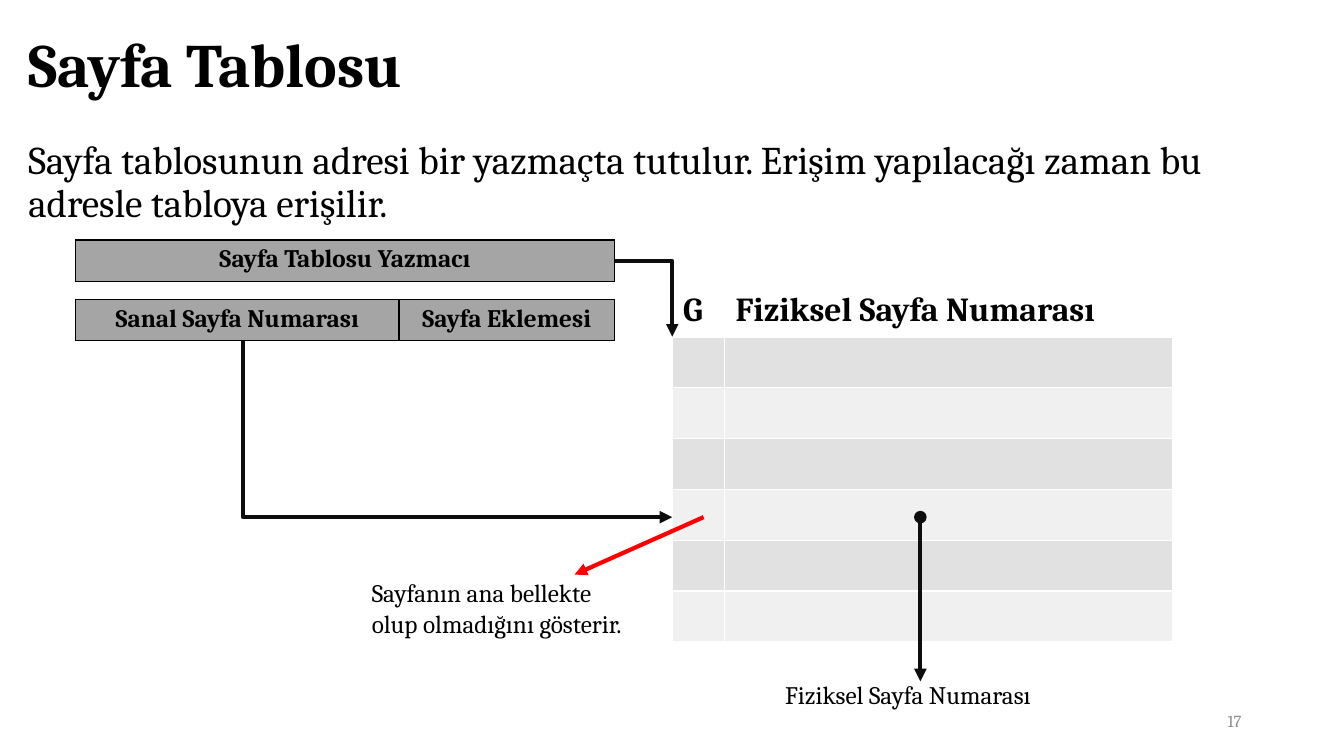
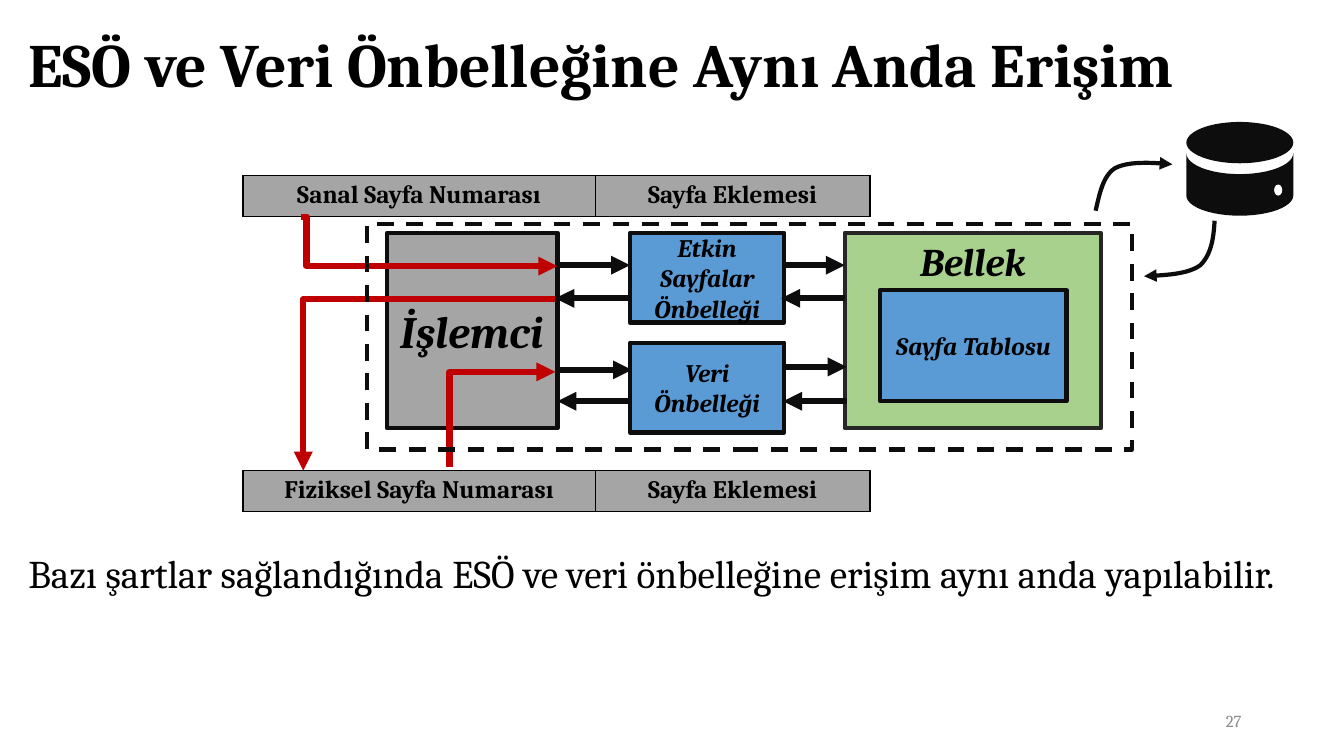
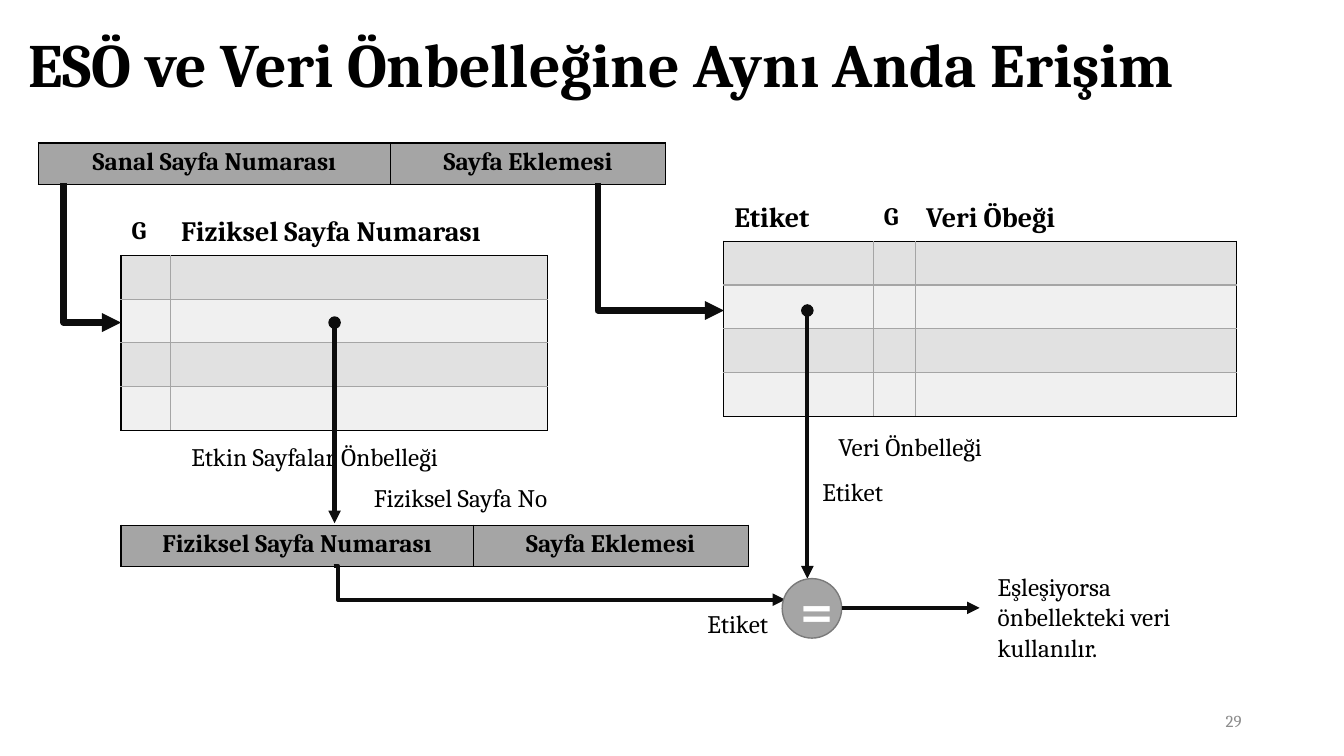
import math

import pptx
import pptx.dml.color
import pptx.enum.dml
import pptx.enum.shapes
import pptx.enum.text
import pptx.oxml
import pptx.oxml.ns
import pptx.util

Pt = pptx.util.Pt
SHAPES = pptx.enum.shapes.MSO_SHAPE
CONNECTORS = pptx.enum.shapes.MSO_CONNECTOR
ALIGN = pptx.enum.text.PP_ALIGN
ANCHOR = pptx.enum.text.MSO_ANCHOR

FONT = "Cambria"
BLACK, WHITE, INK, RED = "000000", "FFFFFF", "0D0D0D", "C00000"
GRAY, BLUE, GREEN = "A5A5A5", "5B9BD5", "A9D18E"
BANDS = ("E1E1E1", "F0F0F0")


def color(hex_string):
    """Turn a hex string into a colour."""
    return pptx.dml.color.RGBColor.from_string(hex_string)


def add_xml(parent, tag, **attributes):
    """Append a DrawingML element to a parent and return it."""
    element = pptx.oxml.parse_xml(f"<a:{tag} {pptx.oxml.ns.nsdecls('a')}/>")
    for name, value in attributes.items():
        element.set(name, str(value))
    parent.append(element)
    return element


def bezier(points, steps=12):
    """Sample a chain of cubic curves into points."""
    result = [points[0]]
    for first in range(0, len(points) - 1, 3):
        curve = points[first:first + 4]
        for step in range(1, steps + 1):
            t = step / steps
            weights = ((1 - t) ** 3, 3 * t * (1 - t) ** 2, 3 * t * t * (1 - t), t ** 3)
            result.append(tuple(sum(weight * point[axis] for weight, point in zip(weights, curve))
                                for axis in (0, 1)))
    return result


def half_ellipse(center_x, center_y, radius_x, radius_y, steps=24):
    """Return the lower half of an ellipse, from left to right."""
    angles = [math.pi * (1 - step / steps) for step in range(steps + 1)]
    return [(center_x + radius_x * math.cos(angle), center_y + radius_y * math.sin(angle))
            for angle in angles]


class Deck:
    """Holds the shared style and the current slide."""

    def __init__(self):
        """Start an empty wide presentation."""
        self.presentation = pptx.Presentation()
        self.presentation.slide_width = Pt(960)
        self.presentation.slide_height = Pt(540)
        self.slide = None

    def start_slide(self, title, number, body=None, body_top=97):
        """Add a slide with its title, page number and optional body text."""
        layout = self.presentation.slide_layouts[5 if body is None else 1]
        self.slide = self.presentation.slides.add_slide(layout)
        self.placeholder(0, 11, 75, title, 44, bold=True, anchor=ANCHOR.MIDDLE)
        if body:
            self.placeholder(1, body_top, 486 - body_top, body, 28, space_before=10)
        self.text(678, 500.4, 216, 28.8, number, 12, "8C8C8C", ALIGN.RIGHT, ANCHOR.MIDDLE)

    def placeholder(self, index, top, height, text, size, bold=False,
                    anchor=ANCHOR.TOP, space_before=0):
        """Move, fill and format a template placeholder."""
        shape = self.slide.placeholders[index]
        shape.left, shape.top, shape.width, shape.height = Pt(13), Pt(top), Pt(926), Pt(height)
        frame = shape.text_frame
        frame.auto_size = pptx.enum.text.MSO_AUTO_SIZE.NONE
        paragraph = self.fill_frame(frame, text, size, BLACK, ALIGN.LEFT, anchor, bold)
        paragraph.line_spacing = 0.9
        paragraph.space_before = Pt(space_before)
        properties = paragraph._p.get_or_add_pPr()
        properties.set("marL", "0")
        properties.set("indent", "0")
        add_xml(properties, "buNone")

    def fill_frame(self, frame, text, size, ink=BLACK, align=ALIGN.LEFT, anchor=ANCHOR.TOP,
                   bold=False, italic=False):
        """Put one run of text into a frame and return its paragraph."""
        frame.word_wrap = True
        frame.vertical_anchor = anchor
        paragraph = frame.paragraphs[0]
        paragraph.alignment = align
        run = paragraph.add_run()
        run.text = text
        font = run.font
        font.name, font.size, font.bold, font.italic = FONT, Pt(size), bold, italic
        font.color.rgb = color(ink)
        return paragraph

    def text(self, left, top, width, height, text, size=18, ink=BLACK,
             align=ALIGN.LEFT, anchor=ANCHOR.TOP):
        """Add a text box."""
        box = self.slide.shapes.add_textbox(Pt(left), Pt(top), Pt(width), Pt(height))
        self.fill_frame(box.text_frame, text, size, ink, align, anchor)

    def paint(self, shape, fill=None, line=None, weight=3):
        """Set the fill and line of a shape."""
        shape.shadow.inherit = False
        if fill:
            shape.fill.solid()
            shape.fill.fore_color.rgb = color(fill)
        else:
            shape.fill.background()
        if line:
            shape.line.color.rgb = color(line)
            shape.line.width = Pt(weight)
        else:
            shape.line.fill.background()

    def shape(self, kind, left, top, width, height, fill=None, line=None, weight=3):
        """Add a preset shape."""
        shape = self.slide.shapes.add_shape(kind, Pt(left), Pt(top), Pt(width), Pt(height))
        self.paint(shape, fill, line, weight)
        return shape

    def block(self, left, top, width, height, fill, text, size=18, line=INK, anchor=ANCHOR.MIDDLE):
        """Add a labelled hardware block."""
        shape = self.shape(SHAPES.RECTANGLE, left, top, width, height, fill, line)
        self.fill_frame(shape.text_frame, text, size, BLACK, ALIGN.CENTER, anchor, True, True)

    def outline(self, points, fill=None, line=None):
        """Add a freeform: closed when filled, open otherwise."""
        corners = [(Pt(x), Pt(y)) for x, y in points]
        builder = self.slide.shapes.build_freeform(*corners[0])
        builder.add_line_segments(corners[1:], close=fill is not None)
        shape = builder.convert_to_shape()
        self.paint(shape, fill, line)
        return shape

    def curved_arrow(self, points):
        """Add an arrow along a chain of cubic curves."""
        self.arrowheads(self.outline(bezier(points), line=INK))

    def arrowheads(self, shape, dot=False):
        """Put a triangle at the end of a line and, if asked, a dot at its start."""
        line = shape.line._get_or_add_ln()
        if dot:
            add_xml(line, "headEnd", type="oval")
        add_xml(line, "tailEnd", type="triangle")

    def connector(self, kind, start, end, ink, weight, dot=False):
        """Add a connector that ends in an arrowhead."""
        connector = self.slide.shapes.add_connector(kind, *(Pt(value) for value in start + end))
        connector.line.color.rgb = color(ink)
        connector.line.width = Pt(weight)
        self.arrowheads(connector, dot)
        add_xml(connector._element.spPr, "effectLst")
        return connector

    def arrow(self, start, end, ink=INK, weight=3, dot=False):
        """Add a straight arrow."""
        self.connector(CONNECTORS.STRAIGHT, start, end, ink, weight, dot)

    def elbow(self, start, end, turn, ink=INK, weight=3):
        """Add a bent arrow whose upright part lies at a share of its width."""
        connector = self.connector(CONNECTORS.ELBOW, start, end, ink, weight)
        guides = connector._element.spPr.prstGeom.get_or_add_avLst()
        add_xml(guides, "gd", name="adj1", fmla=f"val {round(turn * 100000)}")

    def corner(self, start, end, weight=3, down_first=False):
        """Add an arrow with one corner, going right and down."""
        if down_first:
            middle_x, middle_y = (start[0] + end[0]) / 2, (start[1] + end[1]) / 2
            half_x, half_y = (end[0] - start[0]) / 2, (end[1] - start[1]) / 2
            start = (middle_x + half_y, middle_y - half_x)
            end = (middle_x - half_y, middle_y + half_x)
        connector = self.connector(CONNECTORS.ELBOW, start, end, INK, weight)
        properties = connector._element.spPr
        properties.prstGeom.set("prst", "bentConnector2")
        if down_first:
            properties.xfrm.set("rot", str(270 * 60000))

    def table(self, left, top, widths, row_height, rows):
        """Add a plain table and return it."""
        frame = self.slide.shapes.add_table(rows, len(widths), Pt(left), Pt(top),
                                            Pt(sum(widths)), Pt(row_height * rows))
        table = frame.table
        table.first_row = table.horz_banding = False
        for column, width in zip(table.columns, widths):
            column.width = Pt(width)
        for row in table.rows:
            row.height = Pt(row_height)
        return table

    def cell(self, cell, fill, borders):
        """Set a cell's left, right, top and bottom borders, then its fill."""
        properties = cell._tc.get_or_add_tcPr()
        for side, ink in zip("LRTB", borders):
            line = add_xml(properties, f"ln{side}", w=Pt(1))
            add_xml(add_xml(line, "solidFill"), "srgbClr", val=ink)
        cell.fill.solid()
        cell.fill.fore_color.rgb = color(fill)

    def address(self, left, top, widths, labels):
        """Add a one-row bar with the fields of an address."""
        table = self.table(left, top, widths, 29.4, 1)
        for cell, label in zip(table.rows[0].cells, labels):
            self.cell(cell, GRAY, [BLACK] * 4)
            self.fill_frame(cell.text_frame, label, 18, align=ALIGN.CENTER, bold=True)

    def memory(self, left, top, widths, row_height, header, rows, outer=BLACK, inner=GRAY):
        """Add a table of empty banded rows under (label, size) headings."""
        table = self.table(left, top, widths, row_height, rows + 1)
        last = len(widths) - 1
        for index, (label, size) in enumerate(header):
            cell = table.cell(0, index)
            self.cell(cell, WHITE, [WHITE] * 3 + [outer])
            cell.margin_left = cell.margin_right = Pt(7.6)
            cell.margin_top = cell.margin_bottom = Pt(3.6)
            self.fill_frame(cell.text_frame, label, size, bold=True)
            for row in range(1, rows + 1):
                edges = (index == 0, index == last, row == 1, row == rows)
                self.cell(table.cell(row, index), BANDS[(row - 1) % 2],
                          [outer if edge else inner for edge in edges])


VIRTUAL = ("Sanal Sayfa Numarası", "Sayfa Eklemesi")
PHYSICAL = ("Fiziksel Sayfa Numarası", "Sayfa Eklemesi")
FIELDS = (251.6, 196.4)
ACCESS_TITLE = "ESÖ ve Veri Önbelleğine Aynı Anda Erişim"


def page_table_slide(deck):
    """Show how the page table is reached."""
    deck.start_slide("Sayfa Tablosu", "17", "Sayfa tablosunun adresi bir yazmaçta tutulur. "
                     "Erişim yapılacağı zaman bu adresle tabloya erişilir.")
    deck.memory(480.3, 204.5, (37.5, 319.5), 36.3,
                [("G", 24), (PHYSICAL[0], 24)], 6, WHITE, WHITE)
    deck.address(54, 213.8, (231, 154), VIRTUAL)
    deck.elbow((173.5, 242.6), (480.2, 369.4), 0)
    deck.arrow((502.6, 369.4), (410.4, 410.4), "FF0000")
    deck.text(258.5, 409, 198, 72.7, "Sayfanın ana bellekte olup olmadığını gösterir.")
    deck.arrow((657.4, 369.4), (657.4, 486.7), dot=True)
    deck.text(553.7, 481.7, 339.8, 29, PHYSICAL[0])
    deck.address(54, 171.4, (385,), ("Sayfa Tablosu Yazmacı",))
    deck.corner((439.2, 186.5), (480.2, 240.5))


def parallel_access_slide(deck):
    """Show the processor, both caches, the memory and the disk."""
    deck.start_slide(ACCESS_TITLE, "27", "Bazı şartlar sağlandığında ESÖ ve veri önbelleğine "
                     "erişim aynı anda yapılabilir.", 392.4)
    deck.address(173.5, 125.3, FIELDS, VIRTUAL)
    deck.address(173.5, 336.2, FIELDS, PHYSICAL)
    deck.block(276.5, 166.3, 121.7, 139.7, GRAY, "İşlemci", 32)
    deck.block(603.4, 166.3, 182.9, 139.7, GREEN, "Bellek", 28, "262626", ANCHOR.TOP)
    deck.block(628.6, 207.4, 133.2, 79.2, BLUE, "Sayfa Tablosu")
    deck.block(450, 166.3, 110.2, 64.1, BLUE, "Etkin Sayfalar Önbelleği")
    deck.block(450, 244.8, 110.2, 64.1, BLUE, "Veri Önbelleği")
    for start, end, y in [
        (396.7, 450, 189.4), (560.9, 603.4, 189.4), (603.4, 558, 213.1), (449.3, 396.7, 213.1),
        (398.9, 451.4, 264.2), (561.6, 604.8, 262.1), (604.8, 559.4, 286.6), (450.7, 398.2, 286.6),
    ]:
        deck.arrow((start, y), (end, y), weight=4.5)
    deck.elbow((321.1, 333.4), (396.7, 265.7), 0, RED, 4.5)
    deck.elbow((215.3, 154.8), (398.2, 190.1), 0.02, RED, 4.5)
    deck.elbow((396.7, 213.8), (216.7, 336.2), 1, RED, 4.5)
    chip = deck.shape(SHAPES.RECTANGLE, 262.1, 159.8, 546.5, 161.3, line=INK)
    chip.line.dash_style = pptx.enum.dml.MSO_LINE.DASH

    deck.shape(SHAPES.OVAL, 847.4, 87.1, 76.4, 29.5, INK)
    deck.outline(half_ellipse(885.6, 109.4, 38.2, 15)
                 + half_ellipse(885.6, 139.7, 38.2, 14.4)[::-1], INK)
    deck.shape(SHAPES.OVAL, 910.1, 131.8, 5.8, 7.9, WHITE)
    deck.curved_arrow([(782.6, 150.5), (785.5, 138.2), (787.7, 126), (796.3, 120.2),
                       (805.7, 115.2), (821.5, 115.9), (837.4, 117.4)])
    deck.curved_arrow([(867.6, 157.7), (866.9, 169.9), (865.4, 181.4), (857.5, 189.4),
                       (848.9, 195.8), (833, 196.6), (817.2, 197.3)])


def tag_match_slide(deck):
    """Show how the physical page number is compared with the tag."""
    deck.start_slide(ACCESS_TITLE, "29")
    deck.address(27.4, 102.2, FIELDS, VIRTUAL)
    deck.address(86.4, 375.1, FIELDS, PHYSICAL)
    deck.memory(517, 141.1, (106.8, 30.2, 229.5), 31.25,
                [("Etiket", 20), ("G", 18), ("Veri Öbeği", 20)], 4)
    deck.corner((427, 131), (517, 221.8), 4.5, down_first=True)
    deck.memory(86.4, 151.2, (35.3, 269.3), 31.25, [("G", 18), (PHYSICAL[0], 20)], 4)
    deck.corner((45.4, 131), (86.4, 230.4), 4.5, down_first=True)
    deck.text(129.6, 311.8, 260, 29, "Etkin Sayfalar Önbelleği")
    deck.text(591.8, 304.6, 260, 29, "Veri Önbelleği")
    deck.arrow((239, 230.4), (239, 373.7), dot=True)
    deck.arrow((576.7, 221.8), (576.7, 413.3), dot=True)
    deck.text(259.9, 341.3, 216, 29, "Fiziksel Sayfa No")
    deck.text(580.3, 337, 216, 29, "Etiket")
    deck.elbow((238.3, 404.6), (560.9, 428.4), 0.01)
    comparator = deck.shape(SHAPES.OVAL, 558.7, 413.3, 42.5, 42.5, GRAY, "7A7A7A", 1)
    deck.fill_frame(comparator.text_frame, "=", 40, WHITE, ALIGN.CENTER, ANCHOR.MIDDLE, True)
    deck.text(498.2, 430.6, 72.7, 29, "Etiket")
    deck.arrow((601.2, 434.2), (699.8, 434.2))
    deck.text(705.6, 404.6, 161.3, 72.7, "Eşleşiyorsa önbellekteki veri kullanılır.")


deck = Deck()
page_table_slide(deck)
parallel_access_slide(deck)
tag_match_slide(deck)
deck.presentation.save("out.pptx")
